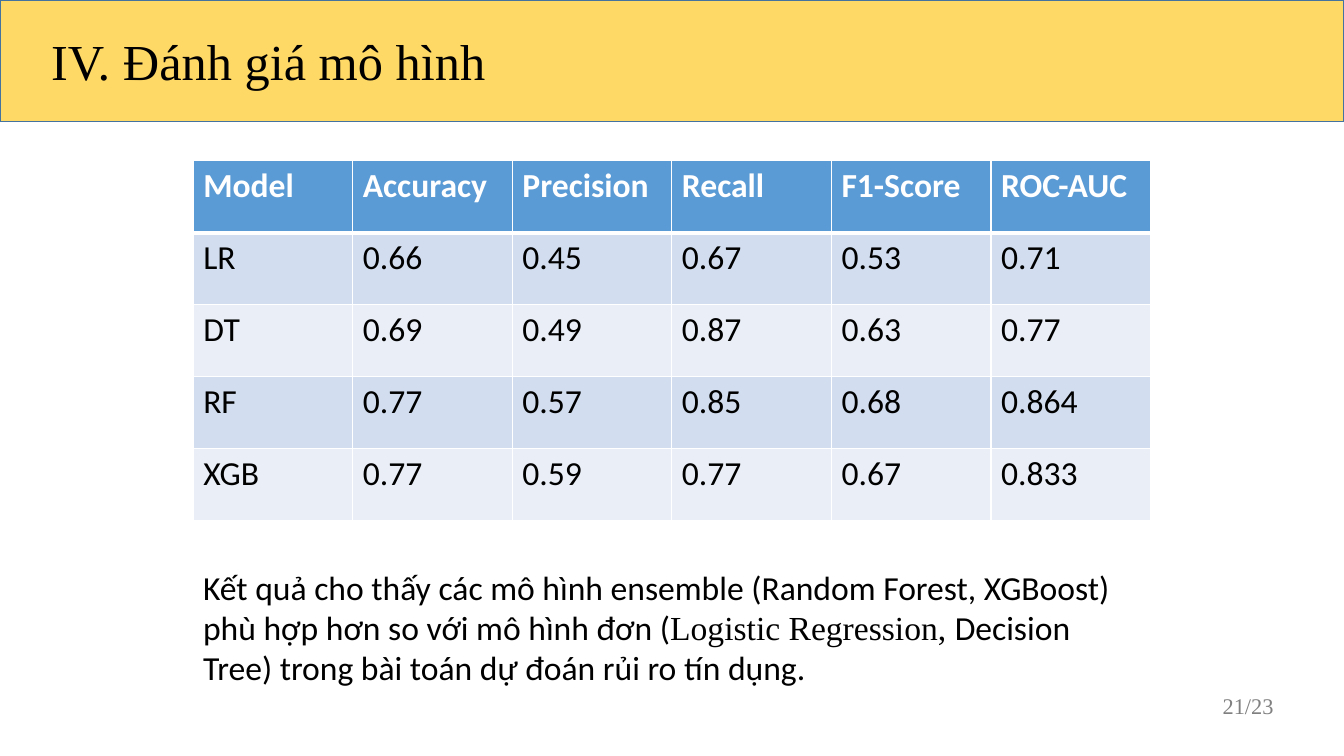
from lxml.etree import SubElement
from pptx import Presentation
from pptx.dml.color import RGBColor
from pptx.enum.shapes import MSO_SHAPE
from pptx.enum.text import MSO_ANCHOR, MSO_AUTO_SIZE, PP_ALIGN
from pptx.oxml.ns import qn
from pptx.util import Emu, Pt

SANS, SERIF = "Calibri", "Times New Roman"
TITLE = "IV. Đánh giá mô hình"
PAGE_NUMBER = "21/23"
SCORES = [
    ("Model", "Accuracy", "Precision", "Recall", "F1-Score", "ROC-AUC"),
    ("LR", "0.66", "0.45", "0.67", "0.53", "0.71"),
    ("DT", "0.69", "0.49", "0.87", "0.63", "0.77"),
    ("RF", "0.77", "0.57", "0.85", "0.68", "0.864"),
    ("XGB", "0.77", "0.59", "0.77", "0.67", "0.833"),
]
CONCLUSION = [
    ("Kết quả cho thấy các mô hình ensemble (Random Forest, XGBoost) "
     "phù hợp hơn so với mô hình đơn (", SANS),
    ("Logistic Regression, ", SERIF),
    ("Decision Tree) trong bài toán dự đoán rủi ro tín dụng.", SANS),
]
COLORS = {
    "banner": "FFD966", "banner_line": "43739E", "header": "5B9BD5",
    "odd_row": "D2DEEF", "even_row": "EAEFF7", "white": "FFFFFF",
    "black": "000000", "gray": "808080",
}
PX = 9525
PAGE_SIZE = (1280, 720)
BANNER_AREA = (0, 0, 1280, 116)
TITLE_AREA = (39, 24, 746, 68)
TABLE_AREA = (184, 153, 912, 343)
CONCLUSION_AREA = (184, 535, 912, 126)
NUMBER_AREA = (1155, 654, 124, 35)


def px(*lengths):
    return [Emu(length * PX) for length in lengths]


def rgb(name):
    return RGBColor.from_string(COLORS[name])


def add_span(para, text, size, font, color, bold=False):
    span = para.add_run()
    span.text = text
    span.font.size = Pt(size)
    span.font.name = font
    span.font.bold = bold
    span.font.color.rgb = rgb(color)


def write(box, spans, size, color):
    frame = box.text_frame
    frame.word_wrap = True
    frame.auto_size = MSO_AUTO_SIZE.NONE
    frame.vertical_anchor = MSO_ANCHOR.TOP
    para = frame.paragraphs[0]
    para.alignment = PP_ALIGN.LEFT
    for text, font in spans:
        add_span(para, text, size, font, color)


def add_borders(cell, top, bottom):
    properties = cell._tc.get_or_add_tcPr()
    for side, width in (("L", 1), ("R", 1), ("T", top), ("B", bottom)):
        line = SubElement(properties, qn(f"a:ln{side}"), w=str(Pt(width)))
        fill = SubElement(line, qn("a:solidFill"))
        SubElement(fill, qn("a:srgbClr"), val=COLORS["white"])


def add_banner(slide):
    banner = slide.shapes.add_shape(MSO_SHAPE.RECTANGLE, *px(*BANNER_AREA))
    banner.shadow.inherit = False
    banner.fill.solid()
    banner.fill.fore_color.rgb = rgb("banner")
    banner.line.color.rgb = rgb("banner_line")
    banner.line.width = Pt(1)
    slide.shapes.title._element.addprevious(banner._element)


def add_scores(slide):
    rows, columns = len(SCORES), len(SCORES[0])
    table = slide.shapes.add_table(rows, columns, *px(*TABLE_AREA)).table
    for row, values in enumerate(SCORES):
        header = row == 0
        band = "header" if header else "odd_row" if row % 2 else "even_row"
        for column, value in enumerate(values):
            cell = table.cell(row, column)
            add_borders(cell, 3 if row == 1 else 1, 3 if header else 1)
            cell.fill.solid()
            cell.fill.fore_color.rgb = rgb(band)
            add_span(cell.text_frame.paragraphs[0], value, 24, SANS,
                     "white" if header else "black", header)


def main():
    deck = Presentation()
    deck.slide_width, deck.slide_height = px(*PAGE_SIZE)
    slide = deck.slides.add_slide(deck.slide_layouts[5])
    title = slide.shapes.title
    title.left, title.top, title.width, title.height = px(*TITLE_AREA)
    write(title, [(TITLE, SERIF)], 36, "black")
    add_banner(slide)
    add_scores(slide)
    conclusion = slide.shapes.add_textbox(*px(*CONCLUSION_AREA))
    write(conclusion, CONCLUSION, 24, "black")
    number = slide.shapes.add_textbox(*px(*NUMBER_AREA))
    write(number, [(PAGE_NUMBER, SERIF)], 16, "gray")
    deck.save("out.pptx")


if __name__ == "__main__":
    main()
